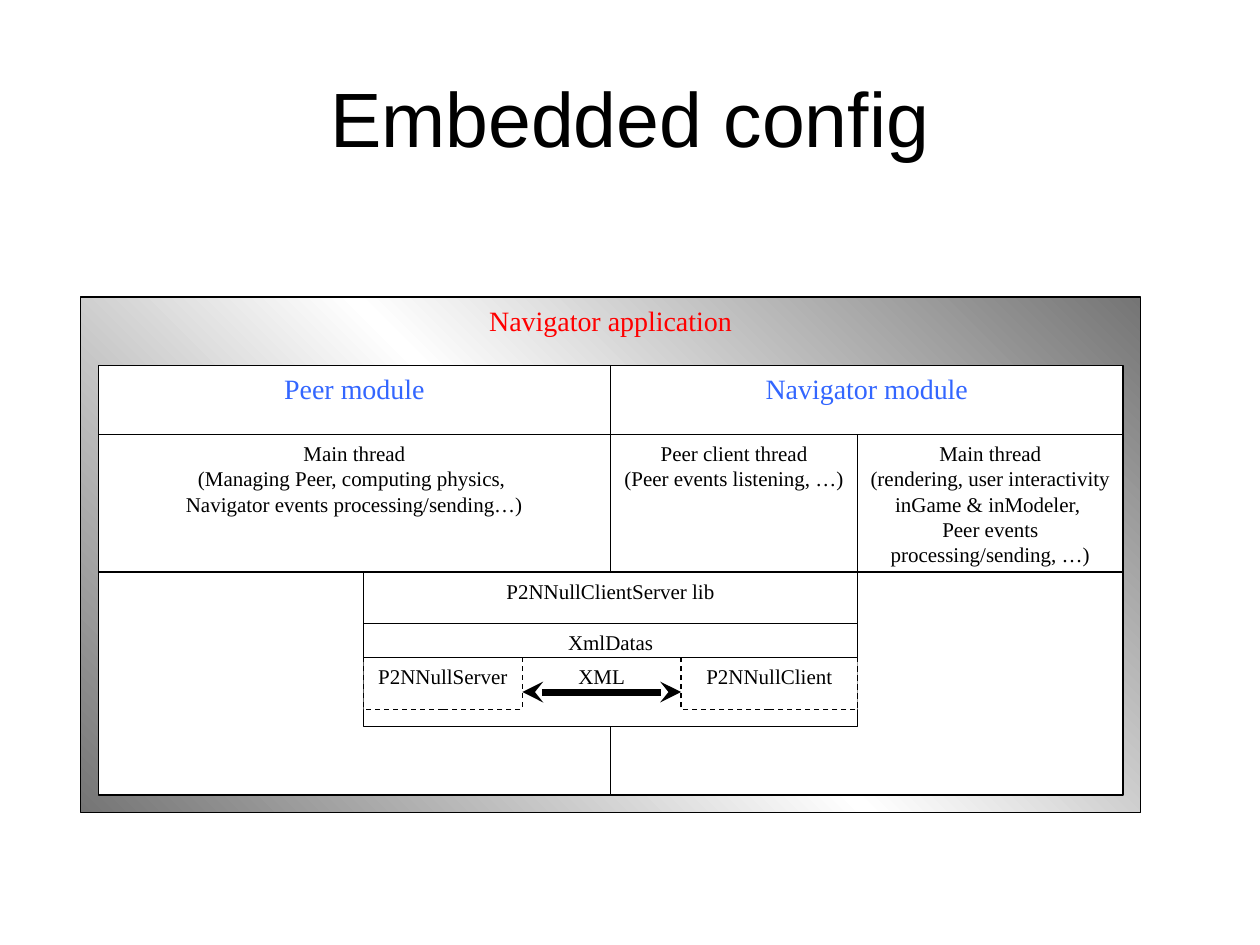
from copy import deepcopy
from dataclasses import dataclass

from lxml import etree
from pptx import Presentation
from pptx.dml.color import RGBColor
from pptx.enum.dml import MSO_LINE
from pptx.enum.shapes import MSO_CONNECTOR, MSO_SHAPE
from pptx.enum.text import MSO_ANCHOR, PP_ALIGN
from pptx.oxml.ns import qn
from pptx.util import Cm, Pt

RECT = MSO_SHAPE.RECTANGLE
STRAIGHT = MSO_CONNECTOR.STRAIGHT
DASH = MSO_LINE.DASH
TOP, MIDDLE = MSO_ANCHOR.TOP, MSO_ANCHOR.MIDDLE
CENTER = PP_ALIGN.CENTER


@dataclass(frozen=True)
class Theme:
    black: str = "000000"
    white: str = "FFFFFF"
    gray: str = "757575"
    red: str = "FF0000"
    blue: str = "3366FF"
    sans: str = "Arial"
    serif: str = "Times New Roman"
    title: int = 44
    head: int = 16
    body: int = 12
    thin: float = 0.75
    thick: float = 4


THEME = Theme()
TITLE = {"name": THEME.sans, "size": Pt(THEME.title), "color": THEME.black}
APP = {"name": THEME.serif, "size": Pt(THEME.head), "color": THEME.red}
MODULE = APP | {"color": THEME.blue}
BODY = {"name": THEME.serif, "size": Pt(THEME.body), "color": THEME.black}


def rgb(code):
    return RGBColor.from_string(code)


def write(shape, lines, style, anchor=TOP):
    frame = shape.text_frame
    frame.word_wrap = True
    frame.vertical_anchor = anchor
    for i, line in enumerate(lines):
        para = frame.paragraphs[0] if i == 0 else frame.add_paragraph()
        para.alignment = CENTER
        run = para.add_run()
        run.text = line
        for key, value in style.items():
            if key == "color":
                run.font.color.rgb = rgb(value)
            else:
                setattr(run.font, key, value)


def label(shapes, box, lines, style, anchor=TOP):
    text = shapes.add_textbox(*map(Cm, box))
    write(text, lines, style, anchor)


def block(shapes, box, lines, style=BODY, dash=None):
    shape = shapes.add_shape(RECT, *map(Cm, box))
    shape.shadow.inherit = False
    shape.fill.solid()
    shape.fill.fore_color.rgb = rgb(THEME.white)
    shape.line.color.rgb = rgb(THEME.black)
    shape.line.width = Pt(THEME.thin)
    if dash:
        shape.line.dash_style = dash
    write(shape, lines, style)
    return shape


def shade(shape):
    """Fill with a diagonal band of white between two grays."""
    fill = shape.fill
    fill.gradient()
    fill.gradient_angle = 225
    stops = shape._element.spPr.find(qn("a:gradFill")).find(qn("a:gsLst"))
    stops.insert(1, deepcopy(stops[0]))
    tones = (THEME.gray, THEME.white, THEME.gray)
    for stop, tone, place in zip(fill.gradient_stops, tones, (0, 0.5, 1)):
        stop.color.rgb = rgb(tone)
        stop.position = place


def arrow(shapes, left, right, y):
    line = shapes.add_connector(STRAIGHT, Cm(left), Cm(y), Cm(right), Cm(y))
    line.line.color.rgb = rgb(THEME.black)
    line.line.width = Pt(THEME.thick)
    edge = line.line._get_or_add_ln()
    for end in ("a:headEnd", "a:tailEnd"):
        etree.SubElement(edge, qn(end), type="stealth")
    etree.SubElement(line._element.spPr, qn("a:effectLst"))


def module(shapes, box, name, threads):
    """Draw a module with its row of threads, given as (width, lines)."""
    left, top, width, height = box
    block(shapes, box, [name], MODULE)
    x = left
    for span, lines in threads:
        block(shapes, (x, top + 1.39, span, 2.77), lines)
        x += span


def library(shapes, box):
    left, top, width, height = box
    bar, side, client = 0.69, 3.2, 3.56
    y = top + 1.73
    right = left + width - client
    block(shapes, box, ["P2NNullClientServer lib"])
    block(shapes, (left, y, side, 1.04), ["P2NNullServer"], dash=DASH)
    block(shapes, (right, y, client, 1.04), ["P2NNullClient"], dash=DASH)
    arrow(shapes, left + side, right, y + bar)
    label(shapes, (left + side, y, right - left - side, bar), ["XML"], BODY)
    block(shapes, (left, y - bar, width, bar), ["XmlDatas"])


def diagram(slide, box):
    left, top, width, height = box
    shapes = slide.shapes.add_group_shape().shapes
    shade(block(shapes, box, ["Navigator application"], APP))
    inset, head = 0.35, 1.38
    half = width / 2 - inset
    tall = height - head - inset
    x, y = left + inset, top + head
    peer = [
        (half, ["Main thread", "(Managing Peer, computing physics, ",
                "Navigator events processing/sending…)"]),
    ]
    client = 4.98
    navigator = [
        (client, ["Peer client thread", "(Peer events listening, …)"]),
        (half - client, [
            "Main thread",
            "(rendering, user interactivity inGame & inModeler, ",
            "Peer events processing/sending, …)"]),
    ]
    module(shapes, (x, y, half, tall), "Peer module", peer)
    module(shapes, (x + half, y, half, tall), "Navigator module", navigator)
    middle = left + width / 2
    library(shapes, (middle - client, y + 4.16, 2 * client, 3.12))


def main():
    deck = Presentation()
    deck.slide_width, deck.slide_height = Cm(25.4), Cm(19.05)
    slide = deck.slides.add_slide(deck.slide_layouts[6])
    label(slide.shapes, (1.27, 0.76, 22.86, 3.18), ["Embedded config"],
          TITLE, MIDDLE)
    diagram(slide, (1.63, 5.99, 21.36, 10.39))
    deck.save("out.pptx")


if __name__ == "__main__":
    main()
